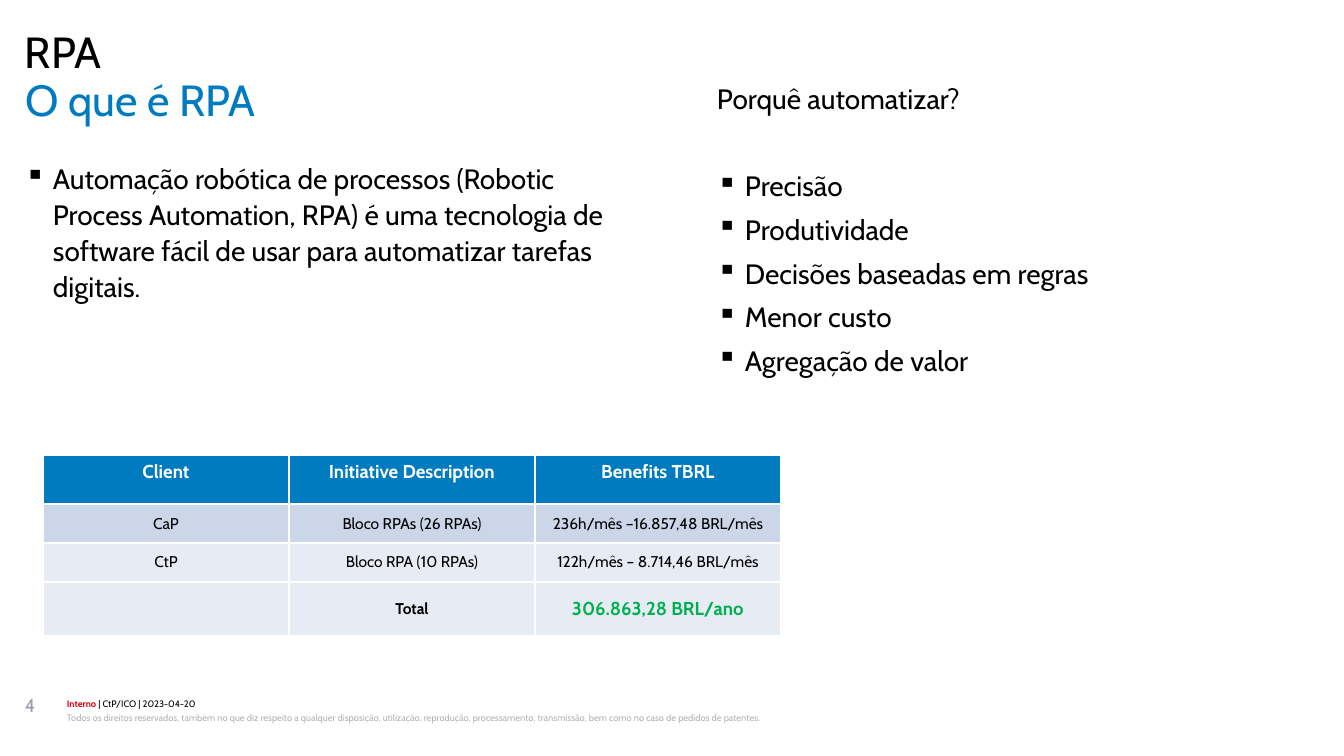
from lxml import etree
from pptx import Presentation
from pptx.dml.color import RGBColor
from pptx.enum.text import MSO_ANCHOR, MSO_AUTO_SIZE, PP_ALIGN
from pptx.oxml.ns import qn
from pptx.util import Pt

TOP, MIDDLE = MSO_ANCHOR.TOP, MSO_ANCHOR.MIDDLE
LEFT, CENTER = PP_ALIGN.LEFT, PP_ALIGN.CENTER
NO_FIT = MSO_AUTO_SIZE.NONE
PX = 914400 / 112
BLUE, BLACK, WHITE = "007BC0", "000000", "FFFFFF"
rgb = RGBColor.from_string


def style(font, size, color, bold=False):
    font.name, font.size, font.bold = "Cabin", Pt(size), bold
    font.color.rgb = rgb(color)


def fill_text(sp, box, lines, size, color, spacing=1.0, before=0, bullets_from=99):
    """Place a text shape and write its lines, bulleted from a given index."""
    sp.left, sp.top, sp.width, sp.height = [round(v * PX) for v in box]
    tf = sp.text_frame
    tf.word_wrap, tf.auto_size, tf.vertical_anchor = True, NO_FIT, TOP
    tf.margin_left = tf.margin_right = tf.margin_top = tf.margin_bottom = 0
    tf.text = "\n".join(lines)
    for i, p in enumerate(tf.paragraphs):
        p.alignment, p.line_spacing, p.space_before = LEFT, spacing, Pt(before)
        style(p.font, size, color)
        if i >= bullets_from:
            pPr = p._p.get_or_add_pPr()
            pPr.set("marL", "228600")
            pPr.set("indent", "-228600")
            bullet = etree.Element(qn("a:buChar"), char="▪")
            pPr.find(qn("a:defRPr")).addprevious(bullet)
    return tf


prs = Presentation()
prs.slide_width, prs.slide_height = round(1344 * PX), round(756 * PX)
s = prs.slides.add_slide(prs.slide_layouts[5])


def text_box():
    return s.shapes.add_textbox(0, 0, 0, 0)


# Headings
fill_text(text_box(), (25, 31, 1294, 48), ["RPA"], 28, BLACK, 0.89)
fill_text(s.shapes.title, (25, 79, 1294, 48), ["O que é RPA"], 28, BLUE, 0.89)

# Definition and reasons
fill_text(text_box(), (25, 159, 601, 520), [
    "Automação robótica de processos (Robotic Process Automation, RPA) é uma "
    "tecnologia de software fácil de usar para automatizar tarefas digitais."],
    18, BLACK, 1.07, 5, bullets_from=0)
reasons = fill_text(text_box(), (717, 79, 601, 520), [
    "Porquê automatizar?", "Precisão", "Produtividade",
    "Decisões baseadas em regras", "Menor custo", "Agregação de valor"],
    18, BLACK, 1.07, 5, bullets_from=1)
reasons.paragraphs[1].space_before = Pt(33)

# Benefits table
rows = [
    ["Client", "Initiative Description", "Benefits TBRL"],
    ["CaP", "Bloco RPAs (26 RPAs)", "236h/mês –16.857,48 BRL/mês"],
    ["CtP", "Bloco RPA (10 RPAs)", "122h/mês – 8.714,46 BRL/mês"],
    ["", "Total", "306.863,28 BRL/ano"],
]
heights = [49, 39, 39, 54]
fills = [BLUE, "CBD7E8", "E7ECF4", "E7ECF4"]
table = s.shapes.add_table(4, 3, round(43 * PX), round(455 * PX),
                           round(738 * PX), round(sum(heights) * PX)).table
for col in table.columns:
    col.width = round(246 * PX)
for r, texts in enumerate(rows):
    table.rows[r].height = round(heights[r] * PX)
    for c, text in enumerate(texts):
        cell = table.cell(r, c)
        cell.text = text
        cell.vertical_anchor = TOP if r == 0 else MIDDLE
        p = cell.text_frame.paragraphs[0]
        p.alignment = CENTER
        style(p.font, 12 if r == 0 else 10, WHITE if r == 0 else BLACK, r in (0, 3))
        # White borders go before the cell fill
        tcPr = cell._tc.get_or_add_tcPr()
        for side in ("a:lnL", "a:lnR", "a:lnT", "a:lnB"):
            ln = etree.SubElement(tcPr, qn(side), w=str(Pt(1.25)))
            solid = etree.SubElement(ln, qn("a:solidFill"))
            etree.SubElement(solid, qn("a:srgbClr"), val=WHITE)
        cell.fill.solid()
        cell.fill.fore_color.rgb = rgb(fills[r])
style(table.cell(3, 2).text_frame.paragraphs[0].font, 12, "00B050", True)

# Footer
fill_text(text_box(), (25, 694, 36, 50), ["4"], 12, "999FA6")
tf = fill_text(text_box(), (67, 697, 1118, 13), ["Interno"], 6, BLACK, 1.07)
p = tf.paragraphs[0]
style(p.runs[0].font, 6, "D70012", True)
p.add_run().text = " | CtP/ICO | 2023-04-20"
fill_text(text_box(), (67, 710, 1118, 27), [
    "Todos os direitos reservados, também no que diz respeito a qualquer "
    "disposição, utilização, reprodução, processamento, transmissão, bem como "
    "no caso de pedidos de patentes."], 6, "B2B3B5", 1.2)

prs.save("out.pptx")
